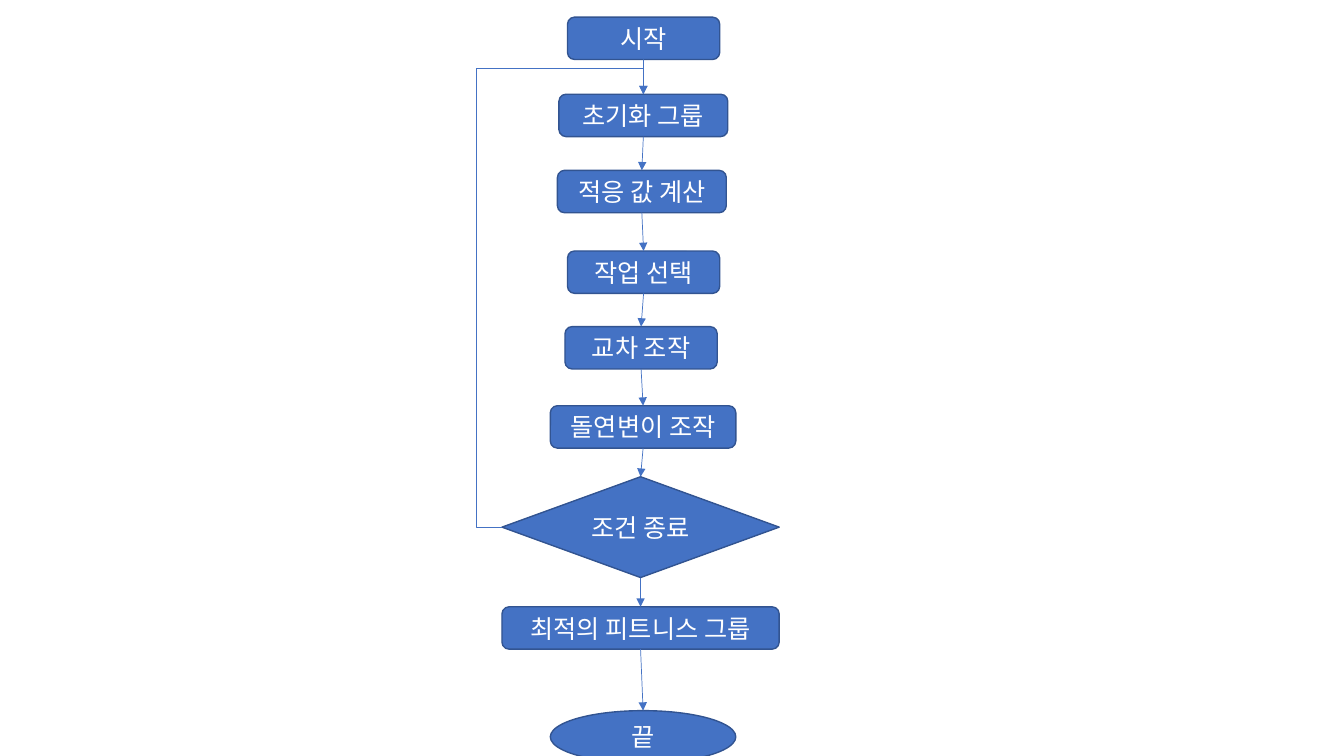
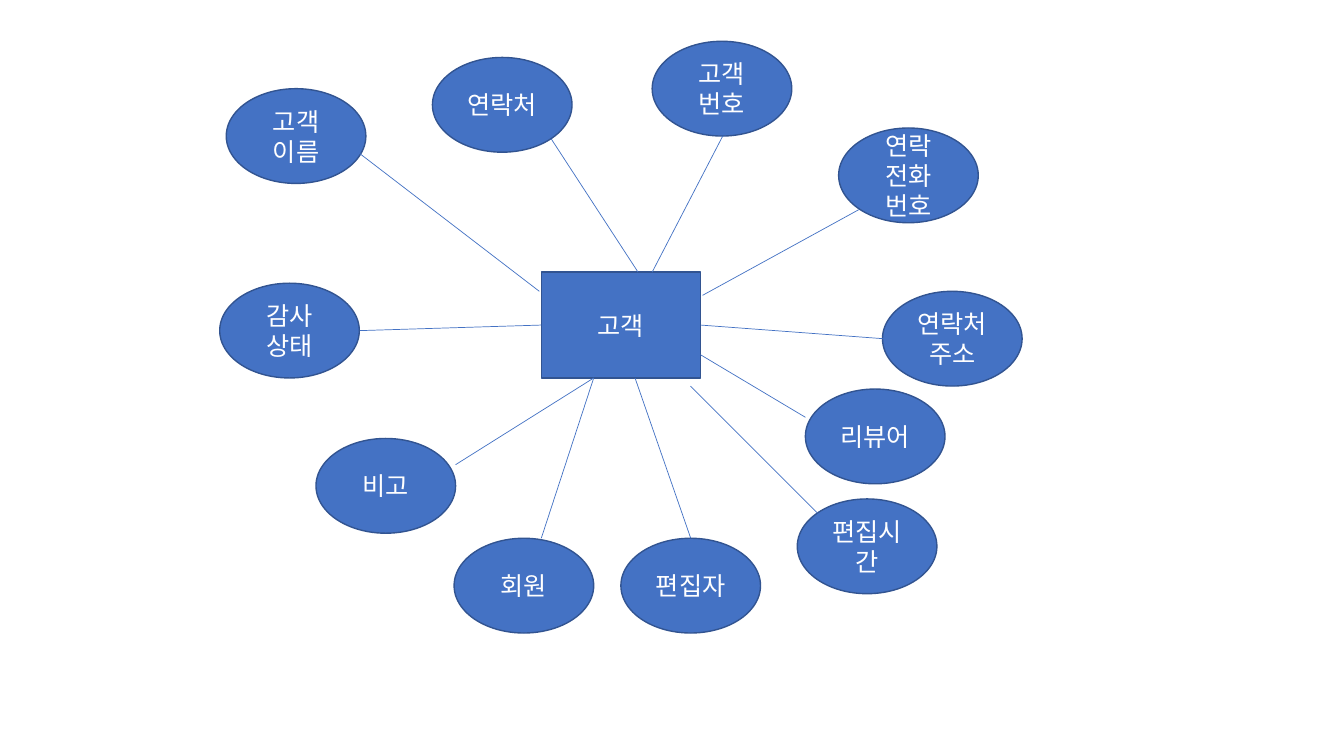
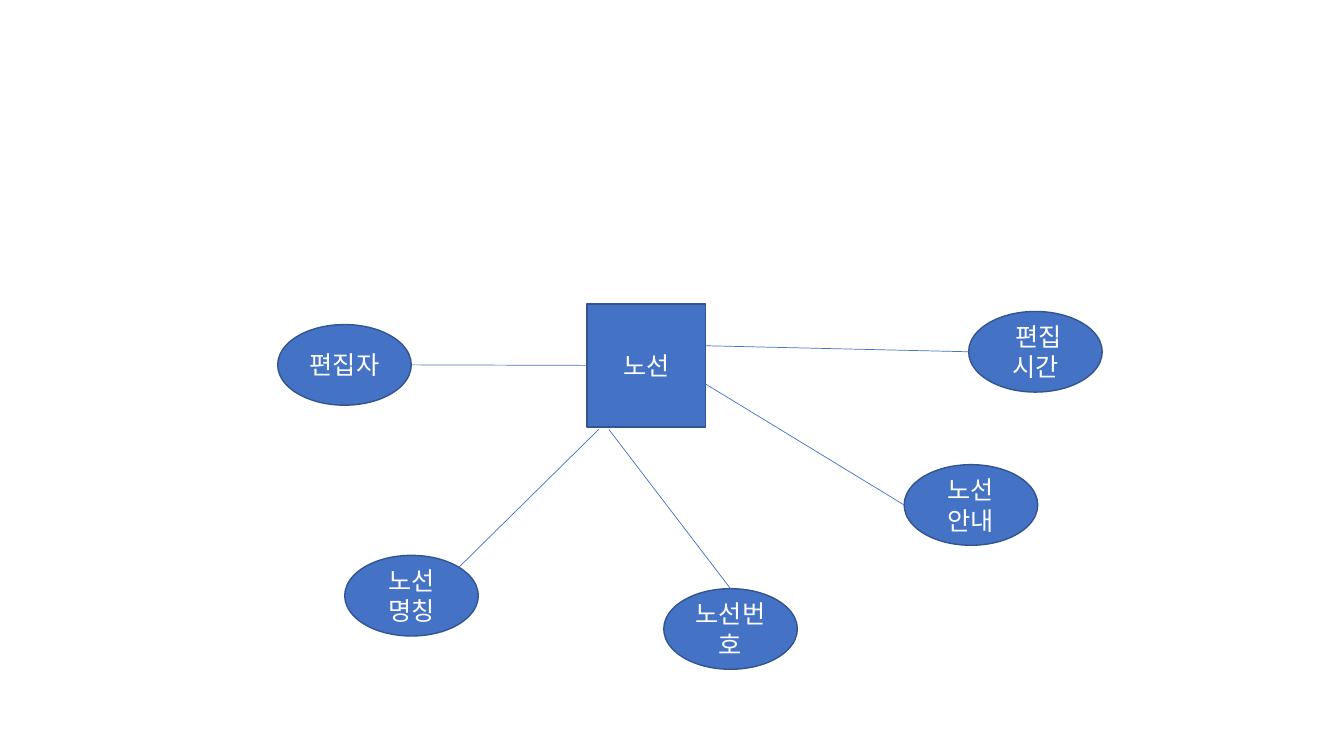
from itertools import pairwise

from lxml.etree import SubElement
from pptx import Presentation
from pptx.dml.color import RGBColor
from pptx.enum.shapes import MSO_CONNECTOR, MSO_SHAPE
from pptx.enum.text import MSO_ANCHOR, PP_ALIGN
from pptx.oxml.ns import qn
from pptx.util import Inches, Pt

TOP, LEFT, BOTTOM, RIGHT = range(4)
BLANK = 6


def grid(cells):
    """Turn grid cells, a tenth of an inch each, into a length."""
    return Inches(cells / 10)


def tint(code):
    return RGBColor.from_string(code)


def write(shape, text, size=18, color="FFFFFF", face="Noto Sans CJK SC"):
    frame = shape.text_frame
    frame.word_wrap = True
    frame.vertical_anchor = MSO_ANCHOR.MIDDLE
    para = frame.paragraphs[0]
    para.alignment = PP_ALIGN.CENTER
    run = para.add_run()
    run.text = text
    run.font.size = Pt(size)
    run.font.color.rgb = tint(color)
    run.font.name = face
    SubElement(run.font._element, qn("a:ea"), typeface=face)


class Deck:
    fill = "4472C4"
    edge = "325491"

    def __init__(self):
        self.show = Presentation()
        self.show.slide_width = grid(133.33)
        self.show.slide_height = grid(75)
        self.slide = None

    def page(self):
        layout = self.show.slide_layouts[BLANK]
        self.slide = self.show.slides.add_slide(layout)

    def node(self, kind, text, *box):
        """Draw a labelled shape; box is left, top, width, height."""
        shape = self.slide.shapes.add_shape(kind, *map(grid, box))
        shape.shadow.inherit = False
        shape.fill.solid()
        shape.fill.fore_color.rgb = tint(self.fill)
        shape.line.color.rgb = tint(self.edge)
        shape.line.width = Pt(1)
        write(shape, text)
        return shape

    def link(self, first, start, last, end, arrow=False,
             kind=MSO_CONNECTOR.STRAIGHT):
        """Join two shapes; an end is a side number or a (column, row) point."""
        spots = [(0, 0) if isinstance(p, int) else p for p in (start, end)]
        ends = [grid(n) for spot in spots for n in spot]
        line = self.slide.shapes.add_connector(kind, *ends)
        if isinstance(start, int):
            line.begin_connect(first, start)
        if isinstance(end, int):
            line.end_connect(last, end)
        line.line.color.rgb = tint(self.fill)
        line.line.width = Pt(0.5)
        props = line._element.spPr
        if arrow:
            SubElement(props.find(qn("a:ln")), qn("a:tailEnd"), type="triangle")
        SubElement(props, qn("a:effectLst"))
        return line

    def loop(self, first, last, *shares):
        """Lead an arrow from a left side round to a top side."""
        line = self.link(first, LEFT, last, TOP, arrow=True,
                         kind=MSO_CONNECTOR.ELBOW)
        props = line._element.spPr
        frame = props.find(qn("a:xfrm"))
        frame.attrib.pop("flipV", None)
        frame.set("rot", "10800000")
        frame.set("flipH", "1")
        shape = props.find(qn("a:prstGeom"))
        shape.set("prst", "bentConnector4")
        guides = shape.find(qn("a:avLst"))
        for num, share in enumerate(shares, 1):
            SubElement(guides, qn("a:gd"), name=f"adj{num}",
                       fmla=f"val {round(share * 100000)}")

    def hub(self, text, box, size, leaves):
        """Draw a box and the ovals tied to it."""
        self.page()
        core = self.node(MSO_SHAPE.RECTANGLE, text, *box)
        for label, left, top, tip, root in leaves:
            leaf = self.node(MSO_SHAPE.OVAL, label, left, top, *size)
            self.link(leaf, tip, core, root)


def flow(deck):
    step, test, stop = (MSO_SHAPE.ROUNDED_RECTANGLE, MSO_SHAPE.DIAMOND,
                        MSO_SHAPE.OVAL)
    deck.page()
    nodes = [deck.node(*row) for row in (
        (step, "시작", 56.3, 1.7, 15.1, 4.2),
        (step, "초기화 그룹", 55.45, 9.35, 16.75, 4.2),
        (step, "적응 값 계산", 55.3, 16.9, 16.75, 4.2),
        (step, "작업 선택", 56.3, 24.9, 15.1, 4.2),
        (step, "교차 조작", 56.05, 32.4, 15.1, 4.2),
        (step, "돌연변이 조작", 54.6, 40.25, 18.4, 4.2),
        (test, "조건 종료", 49.8, 47.3, 27.5, 10),
        (step, "최적의 피트니스 그룹", 49.8, 60.2, 27.5, 4.2),
        (stop, "끝", 54.6, 70.5, 18.4, 5.2),
    )]
    for one, two in pairwise(nodes):
        deck.link(one, BOTTOM, two, TOP, arrow=True)
    deck.loop(nodes[6], nodes[1], -0.18, 1.06)


def main():
    deck = Deck()
    flow(deck)
    deck.hub("고객", (53.7, 27, 15.8, 10.5), (13.85, 9.4), (
        ("고객 이름", 22.45, 8.8, (34.6, 14.4), (53.5, 28.9)),
        ("연락처", 42.9, 5.7, (54.7, 13.8), (63.3, 27)),
        ("고객 번호", 64.7, 4.1, TOP + BOTTOM and (71.7, 13.5), (64.7, 27)),
        ("연락 전화 번호", 83.2, 12.7, (85.2, 20.8), (69.7, 29.3)),
        ("감사 상태", 21.8, 28.1, (35.7, 32.8), LEFT),
        ("연락처 주소", 87.55, 28.9, (87.6, 33.6), RIGHT),
        ("비고", 31.35, 43.5, (45.2, 46.1), (58.9, 37.5)),
        ("회원", 45.05, 53.4, (53.7, 53.4), (58.9, 37.5)),
        ("편집자", 61.6, 53.4, TOP, (63, 37.5)),
        ("리뷰어", 79.9, 38.6, (79.9, 41.4), (69.5, 35.2)),
        ("편집시간", 79.1, 49.5, (81.1, 50.9), (68.5, 38.3)),
    ))
    deck.hub("노선", (58.25, 30.15, 11.75, 12.2), (13.25, 8), (
        ("노선 명칭", 34.2, 55.1, (45.5, 56.3), (59.4, 42.6)),
        (" 편집 시간", 96.1, 30.9, (96.1, 34.9), (70, 34.3)),
        ("노선번호", 65.85, 58.4, TOP, (60.4, 42.6)),
        ("노선 안내", 89.7, 46.1, (89.7, 50.1), (70, 38.1)),
        ("편집자", 27.55, 32.2, (40.8, 36.2), LEFT),
    ))
    deck.show.save("out.pptx")


if __name__ == "__main__":
    main()
